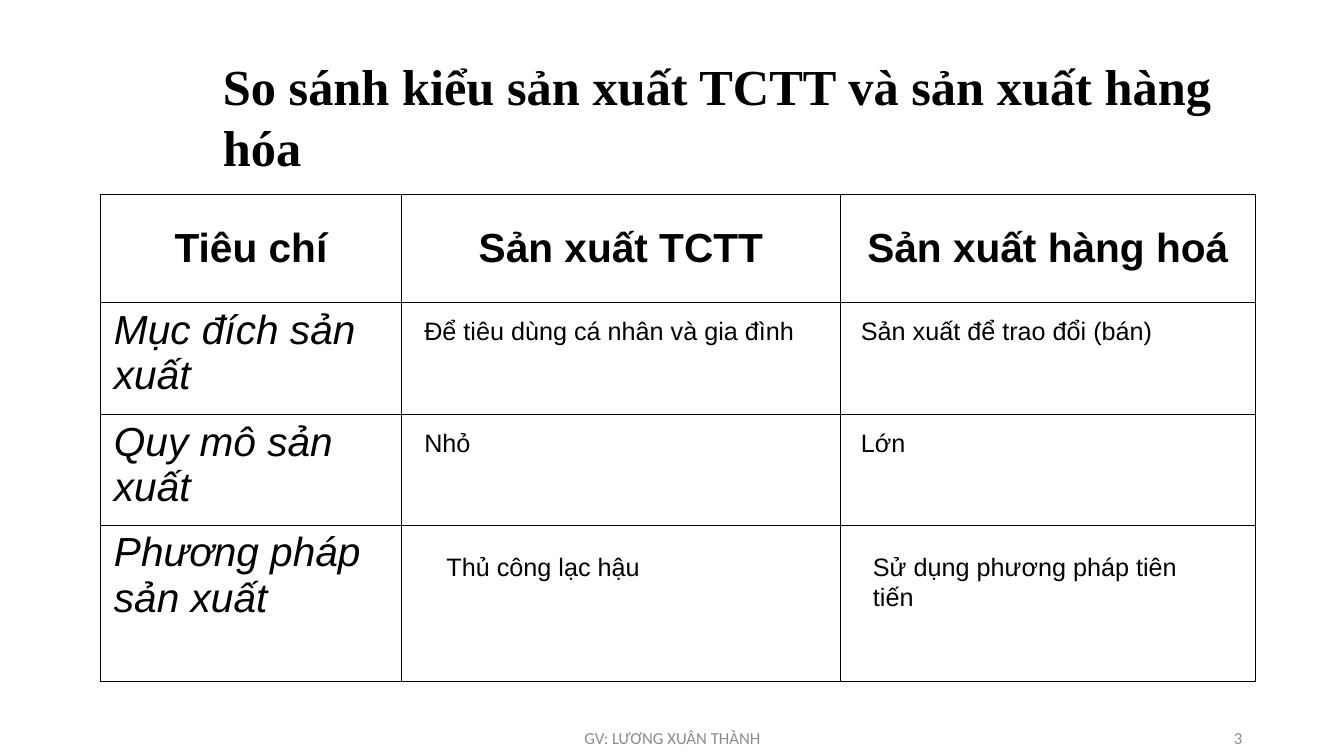
from typing import NamedTuple

from lxml import etree
from pptx import Presentation
from pptx.dml.color import RGBColor
from pptx.enum.text import MSO_ANCHOR, MSO_AUTO_SIZE, PP_ALIGN
from pptx.oxml.ns import qn
from pptx.util import Inches, Pt

LEFT, CENTER, RIGHT = PP_ALIGN.LEFT, PP_ALIGN.CENTER, PP_ALIGN.RIGHT
TOP, MIDDLE = MSO_ANCHOR.TOP, MSO_ANCHOR.MIDDLE
NO_AUTOFIT = MSO_AUTO_SIZE.NONE
BLACK, GRAY = "000000", "8C8C8C"


class Label(NamedTuple):
    text: str
    left: float
    top: float
    width: float
    height: float
    size: float = 18
    font: str = "Arial"
    color: str = BLACK
    align: PP_ALIGN = LEFT
    anchor: MSO_ANCHOR = TOP


HEADERS = ["Tiêu chí", "Sản xuất TCTT", "Sản xuất hàng hoá"]
CRITERIA = ["Mục đích sản xuất", "Quy mô sản xuất", "Phương pháp sản xuất"]
COL_WIDTHS = [2.98, 4.36, 4.11]
ROW_HEIGHTS = [1.07, 1.11, 1.1, 1.55]

ANSWERS = [
    Label("Để tiêu dùng cá nhân và gia đình", 4.11, 3.08, 4, 0.71),
    Label("Sản xuất để trao đổi (bán)", 8.44, 3.08, 3.67, 0.71),
    Label("Nhỏ", 4.11, 4.19, 3.22, 0.71),
    Label("Lớn", 8.44, 4.19, 3.44, 0.71),
    Label("Thủ công lạc hậu", 4.33, 5.42, 3.44, 0.71),
    Label("Sử dụng phương pháp tiên tiến", 8.56, 5.42, 3.33, 1.01),
]
FOOTERS = [
    Label("GV: LƯƠNG XUÂN THÀNH", 4.42, 7.14, 4.5, 0.36, 12, "Calibri", GRAY, CENTER, MIDDLE),
    Label("3", 9.42, 7.14, 3, 0.36, 12, "Calibri", GRAY, RIGHT, MIDDLE),
]


def rgb(color: str) -> RGBColor:
    return RGBColor.from_string(color)


def write(tf, text: str, size: float, font: str, color: str = BLACK,
          align: PP_ALIGN = LEFT, bold: bool = False, italic: bool = False) -> None:
    tf.text = text
    p = tf.paragraphs[0]
    p.alignment = align
    p.font.size, p.font.name = Pt(size), font
    p.font.bold, p.font.italic = bold, italic
    p.font.color.rgb = rgb(color)


def add_label(slide, label: Label) -> None:
    sp = slide.shapes.add_textbox(Inches(label.left), Inches(label.top),
                                  Inches(label.width), Inches(label.height))
    tf = sp.text_frame
    tf.word_wrap = True
    tf.vertical_anchor = label.anchor
    write(tf, label.text, label.size, label.font, label.color, label.align)


def format_cell(cell) -> None:
    cell.margin_left = cell.margin_right = Inches(0.13)
    cell.margin_top = cell.margin_bottom = Inches(0.05)
    tc_pr = cell._tc.get_or_add_tcPr()
    for side in ("lnL", "lnR", "lnT", "lnB"):
        ln = etree.SubElement(tc_pr, qn(f"a:{side}"), w=str(Pt(1)))
        fill = etree.SubElement(ln, qn("a:solidFill"))
        etree.SubElement(fill, qn("a:srgbClr"), val=BLACK)
    cell.fill.background()


def add_comparison_table(slide) -> None:
    frame = slide.shapes.add_table(len(ROW_HEIGHTS), len(COL_WIDTHS), Inches(1), Inches(1.93),
                                   Inches(sum(COL_WIDTHS)), Inches(sum(ROW_HEIGHTS)))
    table = frame.table
    table.first_row = table.horz_banding = False
    for column, width in zip(table.columns, COL_WIDTHS):
        column.width = Inches(width)
    for row, height in zip(table.rows, ROW_HEIGHTS):
        row.height = Inches(height)
    for cell in table.iter_cells():
        format_cell(cell)
    for col, header in enumerate(HEADERS):
        cell = table.cell(0, col)
        cell.vertical_anchor = MIDDLE
        write(cell.text_frame, header, 29, "Arial", align=CENTER, bold=True)
    for row, criterion in enumerate(CRITERIA, start=1):
        write(table.cell(row, 0).text_frame, criterion, 29, "Arial", italic=True)


def main() -> None:
    prs = Presentation()
    prs.slide_width, prs.slide_height = Inches(13.33), Inches(7.5)
    slide = prs.slides.add_slide(prs.slide_layouts[5])

    # Title
    title = slide.shapes.title
    title.left, title.top = Inches(2.11), Inches(0.5)
    title.width, title.height = Inches(10.22), Inches(1.3)
    tf = title.text_frame
    tf.word_wrap = True
    tf.auto_size = NO_AUTOFIT
    tf.vertical_anchor = TOP
    write(tf, "So sánh kiểu sản xuất TCTT và sản xuất hàng hóa", 36, "Times New Roman", bold=True)

    # Table with the answers laid over it, then the footer
    add_comparison_table(slide)
    for label in ANSWERS + FOOTERS:
        add_label(slide, label)

    prs.save("out.pptx")


if __name__ == "__main__":
    main()
